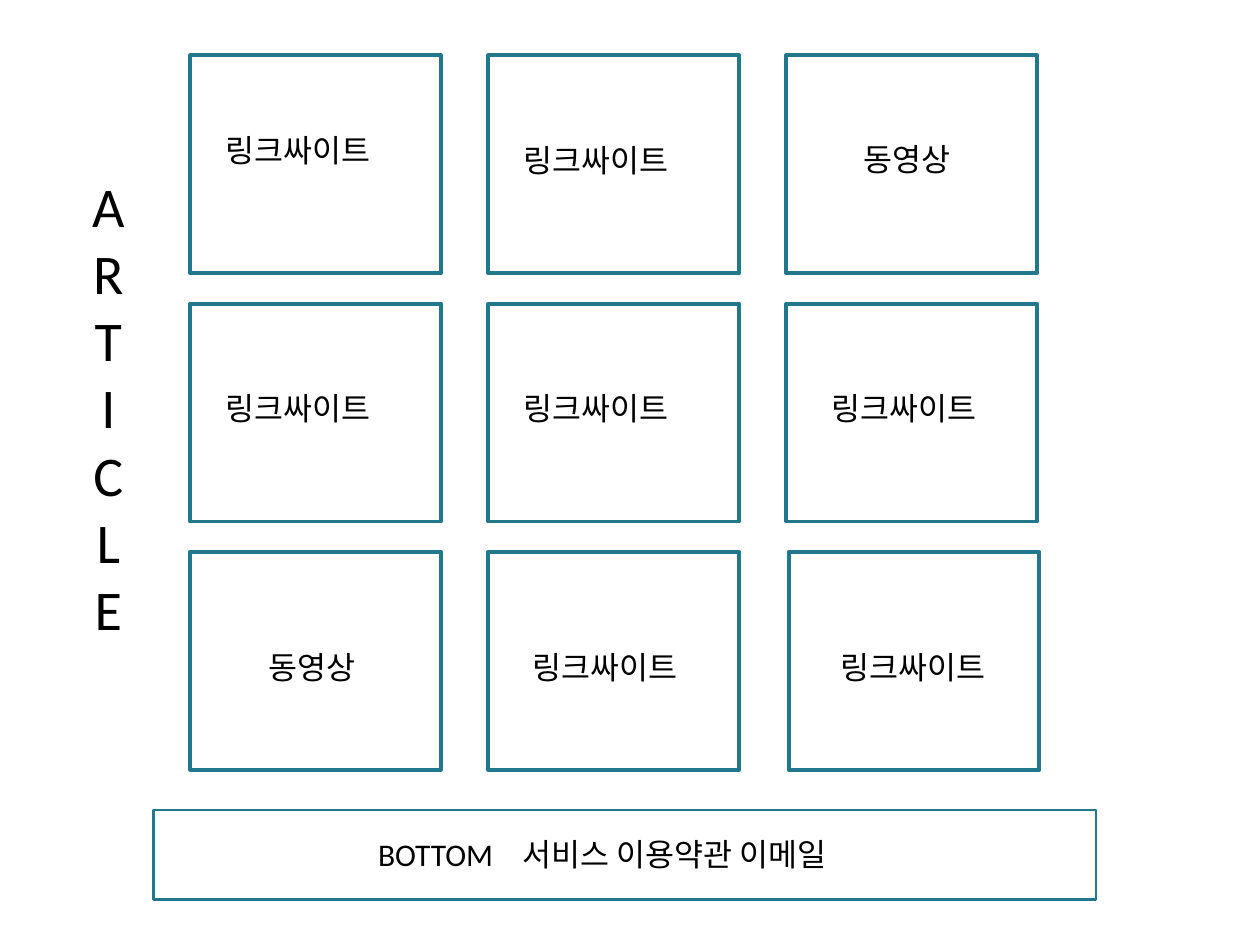
from lxml.etree import SubElement
from pptx import Presentation
from pptx.dml.color import RGBColor
from pptx.enum.shapes import MSO_SHAPE
from pptx.enum.text import MSO_AUTO_SIZE, PP_ALIGN
from pptx.oxml.ns import qn
from pptx.util import Inches, Pt

TEAL = RGBColor(0x21, 0x78, 0x8D)
BLACK = RGBColor(0, 0, 0)
LABEL_FONT = {"name": "Calibri", "size": Pt(18)}
HEADING_FONT = {"name": "Calibri", "size": Pt(32)}
FRAME_FORMAT = {"word_wrap": True, "auto_size": MSO_AUTO_SIZE.SHAPE_TO_FIT_TEXT}

presentation = Presentation()
presentation.slide_width = Inches(10)
presentation.slide_height = Inches(7.5)
slide = presentation.slides.add_slide(presentation.slide_layouts[6])


def add_panel(left, top, width, height, line_width):
    panel = slide.shapes.add_shape(
        MSO_SHAPE.RECTANGLE, Inches(left), Inches(top), Inches(width), Inches(height))
    panel.shadow.inherit = False
    panel.fill.background()
    panel.line.color.rgb = TEAL
    panel.line.width = Pt(line_width)


def add_label(lines, left, top, width, height, alignment, font_format):
    frame = slide.shapes.add_textbox(
        Inches(left), Inches(top), Inches(width), Inches(height)).text_frame
    for name, value in FRAME_FORMAT.items():
        setattr(frame, name, value)
    frame.text = "\n".join(lines)
    for paragraph in frame.paragraphs:
        paragraph.alignment = alignment
        font = paragraph.runs[0].font
        for name, value in font_format.items():
            setattr(font, name, value)
        font.color.rgb = BLACK
    return frame


for row in range(3):
    for column in range(3):
        nudge = 0.02 if (row, column) == (2, 2) else 0
        add_panel(1.51 + 2.365 * column + nudge, 0.44 + 1.97 * row, 1.99, 1.73, 2.25)
add_panel(1.22, 6.43, 7.48, 0.71, 1.5)

LINK_SITES = [
    (1.69, 0.99), (4.06, 1.07),
    (1.69, 3.04), (4.06, 3.04), (6.5, 3.04),
    (4.13, 5.09), (6.57, 5.09),
]
for left, top in LINK_SITES:
    add_label(["링크싸이트"], left, top, 1.5, 0.4, PP_ALIGN.LEFT, LABEL_FONT)

for left, top in [(6.57, 1.06), (1.85, 5.09)]:
    add_label(["동영상"], left, top, 1.26, 0.4, PP_ALIGN.CENTER, LABEL_FONT)

add_label("ARTICLE", 0.35, 1.31, 1.02, 3.87, PP_ALIGN.CENTER, HEADING_FONT)

footer = add_label(["BOTTOM\t서비스 이용약관 이메일"], 1.69, 6.58, 6.22, 0.4,
                   PP_ALIGN.LEFT, LABEL_FONT)
footer.margin_left = Inches(1.31)
footer_properties = footer.paragraphs[0]._p.get_or_add_pPr()
tab_stops = SubElement(footer_properties, qn("a:tabLst"))
SubElement(tab_stops, qn("a:tab"), pos=str(Inches(1.15)), algn="l")

presentation.save("out.pptx")
